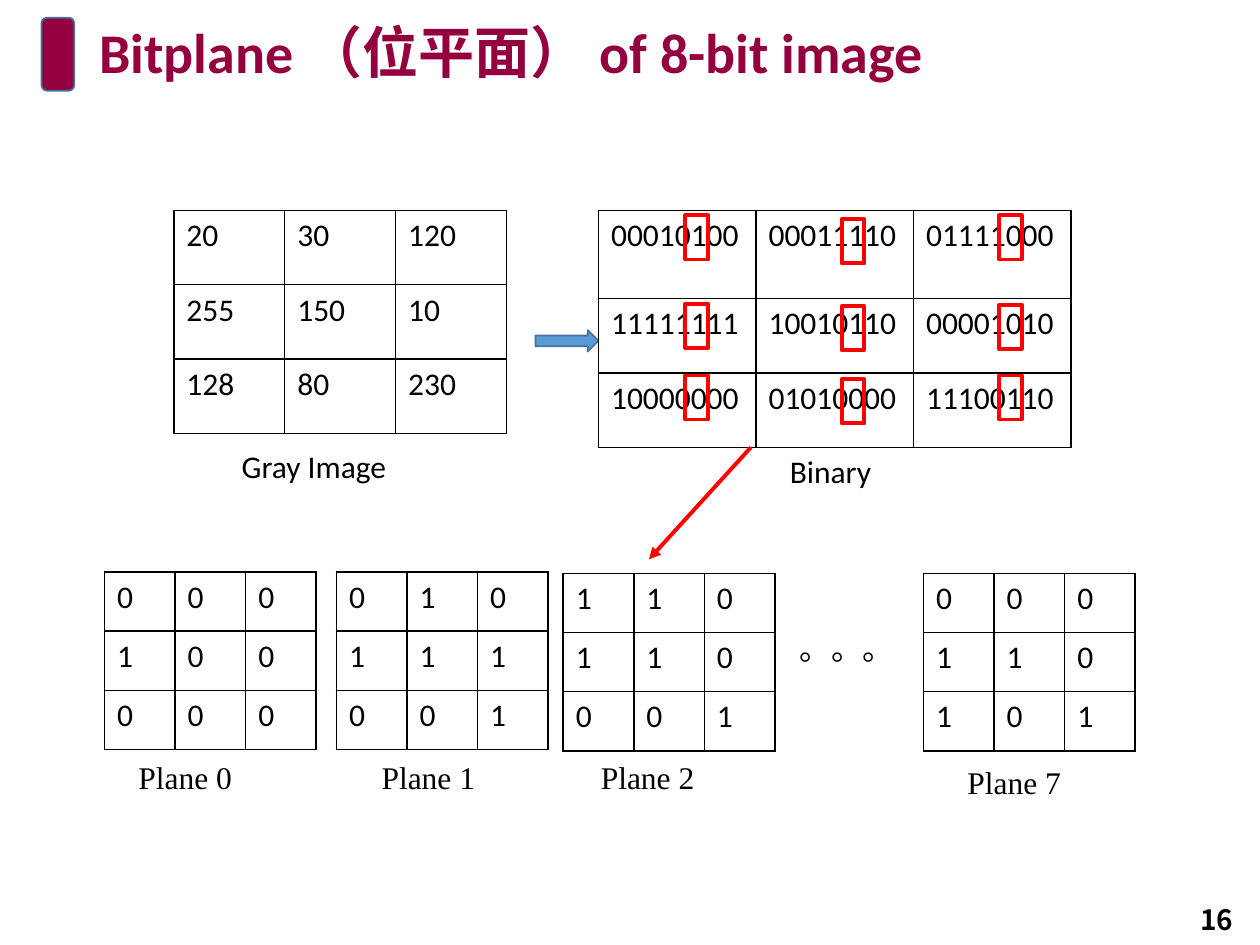
from dataclasses import dataclass

from lxml import etree
from pptx import Presentation
from pptx.dml.color import RGBColor
from pptx.enum.shapes import MSO_CONNECTOR, MSO_SHAPE
from pptx.enum.text import MSO_ANCHOR, MSO_AUTO_SIZE, PP_ALIGN
from pptx.oxml.ns import qn
from pptx.util import Inches, Pt

ROUNDED, RECTANGLE = MSO_SHAPE.ROUNDED_RECTANGLE, MSO_SHAPE.RECTANGLE
RIGHT_ARROW, STRAIGHT = MSO_SHAPE.RIGHT_ARROW, MSO_CONNECTOR.STRAIGHT
TOP, MIDDLE = MSO_ANCHOR.TOP, MSO_ANCHOR.MIDDLE
LEFT, CENTER = PP_ALIGN.LEFT, PP_ALIGN.CENTER
GROW = MSO_AUTO_SIZE.SHAPE_TO_FIT_TEXT


@dataclass(frozen=True)
class Theme:
    wine: str = "94003F"
    blue: str = "5B9BD5"
    outline: str = "43739E"
    mark: str = "FF0000"
    ink: str = "000000"
    sans: str = "Calibri"
    serif: str = "Times New Roman"
    cjk: str = "Noto Sans CJK SC"
    title: int = 32
    body: int = 18
    number: int = 16


THEME = Theme()
GRAY_VALUES = [[20, 30, 120], [255, 150, 10], [128, 80, 230]]
MARKED_BIT = 2

# Per plane: bit, table left and top, caption left and top
PLANES = [
    (0, 0.83, 4.54, 1.0, 5.97),
    (1, 2.67, 4.54, 2.93, 5.97),
    (2, 4.47, 4.55, 4.67, 5.97),
    (7, 7.33, 4.55, 7.58, 6.01),
]
# Marker columns: left, tops down the rows
MARKERS = [
    (5.44, (1.71, 2.41, 2.98)),
    (6.68, (1.74, 2.43, 3.01)),
    (7.93, (1.71, 2.42, 2.98)),
]


def color(code):
    return RGBColor.from_string(code)


def style_text(frame, size=THEME.body, font=THEME.sans, ink=THEME.ink, bold=False):
    for para in frame.paragraphs:
        for span in para.runs:
            span.font.size = Pt(size)
            span.font.name = font
            span.font.bold = bold
            span.font.color.rgb = color(ink)


def add_text(page, text, left, top, width, height=0.4, wrap=False,
             anchor=TOP, align=LEFT, spacing=None, **style):
    box = page.shapes.add_textbox(Inches(left), Inches(top), Inches(width), Inches(height))
    frame = box.text_frame
    frame.text = text
    frame.word_wrap = wrap
    if not wrap:
        frame.auto_size = GROW
    frame.vertical_anchor = anchor
    para = frame.paragraphs[0]
    para.alignment = align
    if spacing:
        para.line_spacing = spacing
    style_text(frame, **style)


def add_block(page, kind, left, top, width, height, line, weight=1, fill=None):
    block = page.shapes.add_shape(kind, Inches(left), Inches(top), Inches(width), Inches(height))
    block.shadow.inherit = False
    if fill:
        block.fill.solid()
        block.fill.fore_color.rgb = color(fill)
    else:
        block.fill.background()
    block.line.color.rgb = color(line)
    block.line.width = Pt(weight)


def border_cell(cell):
    properties = cell._tc.get_or_add_tcPr()
    for position, side in enumerate(("a:lnL", "a:lnR", "a:lnT", "a:lnB")):
        edge = etree.Element(qn(side), w=str(Pt(1)))
        fill = etree.SubElement(edge, qn("a:solidFill"))
        etree.SubElement(fill, qn("a:srgbClr"), val=THEME.ink)
        properties.insert(position, edge)


def add_grid(page, values, left, top, column_width, row_heights):
    columns = len(values[0])
    frame = page.shapes.add_table(
        len(values), columns, Inches(left), Inches(top),
        Inches(column_width * columns), Inches(sum(row_heights)))
    table = frame.table
    table.first_row = table.horz_banding = False
    for column in table.columns:
        column.width = Inches(column_width)
    for row, height, row_values in zip(table.rows, row_heights, values):
        row.height = Inches(height)
        for cell, value in zip(row.cells, row_values):
            cell.text_frame.text = str(value)
            cell.fill.background()
            style_text(cell.text_frame)
            border_cell(cell)


def add_arrow(page, start, end):
    arrow = page.shapes.add_connector(STRAIGHT, *map(Inches, start + end))
    arrow.line.color.rgb = color(THEME.mark)
    arrow.line.width = Pt(2.25)
    etree.SubElement(arrow.line._get_or_add_ln(), qn("a:tailEnd"), type="triangle")
    etree.SubElement(arrow._element.spPr, qn("a:effectLst"))


def map_values(convert):
    return [[convert(value) for value in row] for row in GRAY_VALUES]


def main():
    deck = Presentation()
    deck.slide_width, deck.slide_height = Inches(10), Inches(7.5)
    page = deck.slides.add_slide(deck.slide_layouts[6])

    # Heading and page number
    add_block(page, ROUNDED, 0.33, 0.14, 0.26, 0.58, THEME.outline, fill=THEME.wine)
    add_text(page, "Bitplane （位平面） of 8-bit image", 0.69, 0.15, 8.62, 0.58, wrap=True,
             spacing=0.9, size=THEME.title, ink=THEME.wine, bold=True)
    add_text(page, "16", 9.23, 7.1, 0.85, wrap=True, anchor=MIDDLE, align=CENTER,
             size=THEME.number, font=THEME.cjk, bold=True)

    # Gray values and their binary form
    add_grid(page, GRAY_VALUES, 1.38, 1.67, 0.88, [0.59] * 3)
    add_text(page, "Gray Image", 1.82, 3.5, 1.36)
    add_block(page, RIGHT_ARROW, 4.25, 2.62, 0.5, 0.17, THEME.outline, fill=THEME.blue)
    add_grid(page, map_values("{:08b}".format), 4.75, 1.67, 1.25, [0.7, 0.59, 0.59])
    add_text(page, "Binary", 6.17, 3.54, 0.85)

    # Bit planes
    for bit, left, top, caption_left, caption_top in PLANES:
        plane = map_values(lambda value: value >> bit & 1)
        add_grid(page, plane, left, top, 0.56, [0.47] * 3)
        add_text(page, f"Plane {bit}", caption_left, caption_top, 0.97, font=THEME.serif)
    add_text(page, "。。。", 6.25, 4.94, 0.96)

    # Marked bit, leading to its plane
    for left, tops in MARKERS:
        for top in tops:
            add_block(page, RECTANGLE, left, top, 0.18, 0.35, THEME.mark, weight=2.25)
    add_arrow(page, (5.96, 3.55), (5.15, 4.44))

    deck.save("out.pptx")


if __name__ == "__main__":
    main()
